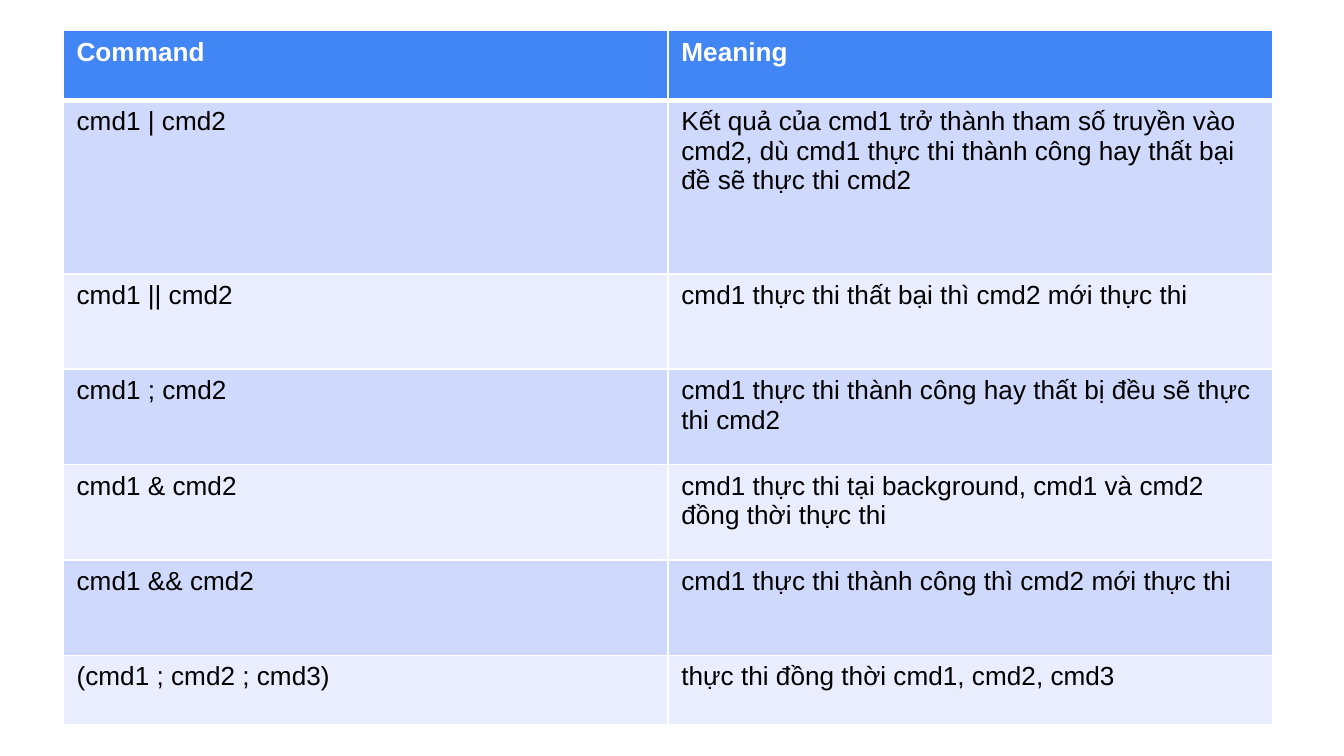
from dataclasses import dataclass

from lxml.etree import SubElement
from pptx import Presentation
from pptx.dml.color import RGBColor as RGB
from pptx.oxml.ns import qn
from pptx.util import Inches, Pt


@dataclass(frozen=True)
class Theme:
    font: str = "Arial"
    size: int = 14
    header_fill: str = "4285F4"
    header_text: str = "FFFFFF"
    body_text: str = "000000"
    bands: tuple = ("CFD9FB", "E9EDFD")
    border: str = "FFFFFF"
    thin: int = 1
    thick: int = 3


THEME = Theme()

COLUMN_WIDTHS = (4.5, 4.5)
ROW_HEIGHTS = (0.52, 1.29, 0.71, 0.71, 0.71, 0.71, 0.52)
COMMANDS = (
    ("Command", "Meaning"),
    ("cmd1 | cmd2",
     "Kết quả của cmd1 trở thành tham số truyền vào cmd2, "
     "dù cmd1 thực thi thành công hay thất bại đề sẽ thực thi cmd2"),
    ("cmd1 || cmd2", "cmd1 thực thi thất bại thì cmd2 mới thực thi"),
    ("cmd1 ; cmd2", "cmd1 thực thi thành công hay thất bị đều sẽ thực thi cmd2"),
    ("cmd1 & cmd2", "cmd1 thực thi tại background, cmd1 và cmd2 đồng thời thực thi"),
    ("cmd1 && cmd2", "cmd1 thực thi thành công thì cmd2 mới thực thi"),
    ("(cmd1 ; cmd2 ; cmd3)", "thực thi đồng thời cmd1, cmd2, cmd3"),
)


def set_borders(cell, widths):
    """Draw the cell's borders; widths maps L, R, T, B (in that order) to points."""
    properties = cell._tc.get_or_add_tcPr()
    for position, (side, width) in enumerate(widths.items()):
        line = SubElement(properties, qn(f"a:ln{side}"), w=str(Pt(width)))
        fill = SubElement(line, qn("a:solidFill"))
        SubElement(fill, qn("a:srgbClr"), val=THEME.border)
        # Borders must come before the cell's fill
        properties.insert(position, line)


def format_cell(cell, text, row_index):
    is_header = row_index == 0
    fill = THEME.header_fill if is_header else THEME.bands[(row_index - 1) % 2]
    cell.fill.solid()
    cell.fill.fore_color.rgb = RGB.from_string(fill)

    # Text
    cell.text = text
    font = cell.text_frame.paragraphs[0].runs[0].font
    for name, value in {"name": THEME.font, "size": Pt(THEME.size), "bold": is_header}.items():
        setattr(font, name, value)
    color = THEME.header_text if is_header else THEME.body_text
    font.color.rgb = RGB.from_string(color)

    # The rule between header and body is thicker
    set_borders(cell, {
        "L": THEME.thin,
        "R": THEME.thin,
        "T": THEME.thick if row_index == 1 else THEME.thin,
        "B": THEME.thick if is_header else THEME.thin,
    })


def add_command_table(slide, left, top, width, height):
    frame = slide.shapes.add_table(len(COMMANDS), len(COLUMN_WIDTHS), left, top, width, height)
    table = frame.table

    # Shares of the box
    for column, share in zip(table.columns, COLUMN_WIDTHS):
        column.width = int(width * share / sum(COLUMN_WIDTHS))
    for row, share in zip(table.rows, ROW_HEIGHTS):
        row.height = int(height * share / sum(ROW_HEIGHTS))

    # Cells
    for row_index, texts in enumerate(COMMANDS):
        for column_index, text in enumerate(texts):
            format_cell(table.cell(row_index, column_index), text, row_index)


def main():
    presentation = Presentation()
    # Widescreen, 16 to 9
    presentation.slide_width = Inches(10)
    presentation.slide_height = presentation.slide_width * 9 // 16
    slide = presentation.slides.add_slide(presentation.slide_layouts[6])

    # The table is centred between top and bottom
    height = Inches(5.17)
    top = (presentation.slide_height - height) // 2
    add_command_table(slide, Inches(0.47), top, Inches(9), height)
    presentation.save("out.pptx")


if __name__ == "__main__":
    main()
